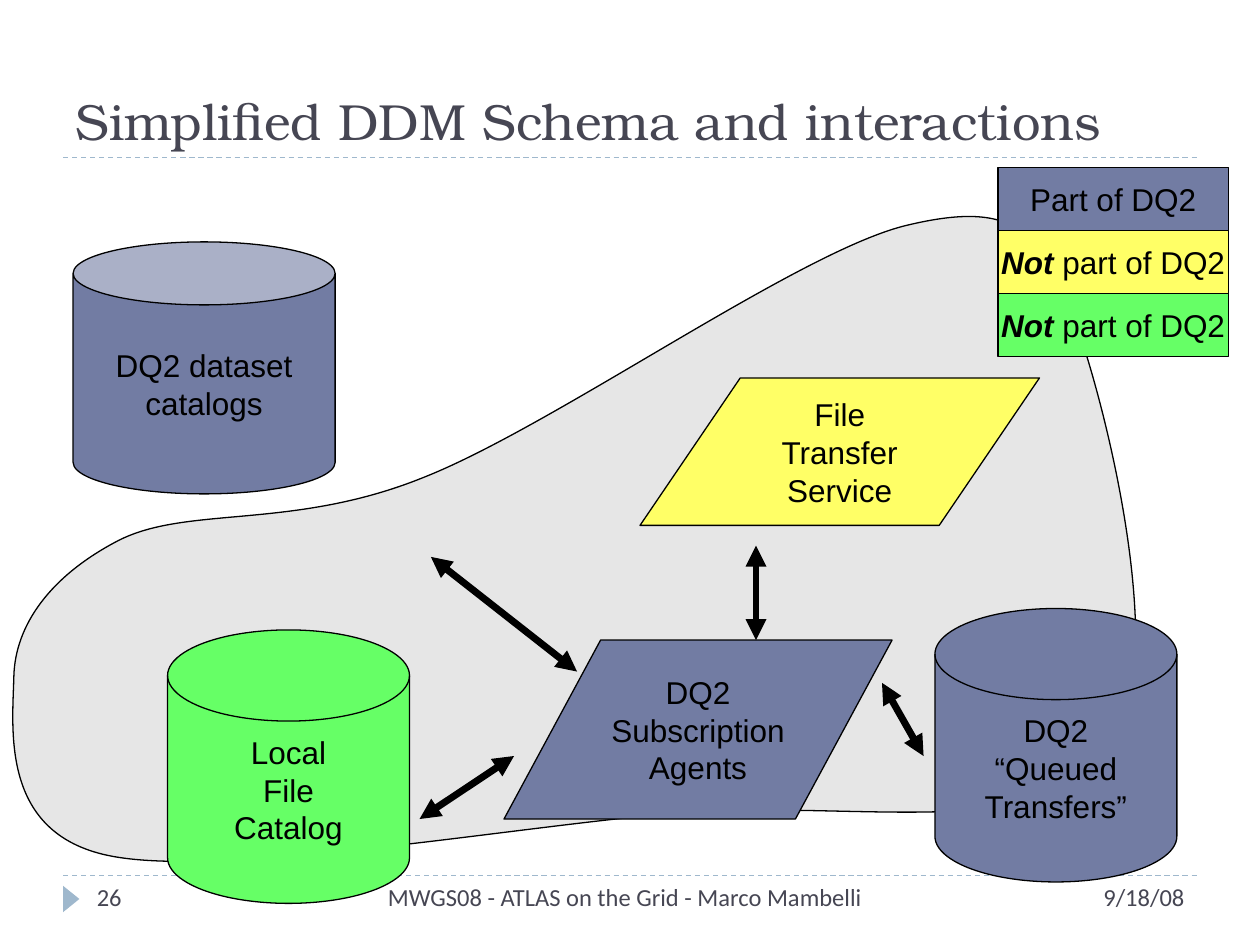
"""Build the slide on the simplified DDM schema and its interactions."""
from dataclasses import dataclass

from lxml import etree
from pptx import Presentation
from pptx.dml.color import RGBColor
from pptx.enum.dml import MSO_LINE
from pptx.enum.shapes import MSO_CONNECTOR, MSO_SHAPE
from pptx.enum.text import MSO_ANCHOR, MSO_AUTO_SIZE, PP_ALIGN
from pptx.oxml.ns import qn
from pptx.util import Inches, Pt

CAN, DISK = MSO_SHAPE.CAN, MSO_SHAPE.FLOWCHART_MAGNETIC_DISK
SLANT, RECT = MSO_SHAPE.PARALLELOGRAM, MSO_SHAPE.RECTANGLE
TRIANGLE = MSO_SHAPE.ISOSCELES_TRIANGLE
STRAIGHT, DASH = MSO_CONNECTOR.STRAIGHT, MSO_LINE.DASH
LEFT, CENTER, RIGHT = PP_ALIGN.LEFT, PP_ALIGN.CENTER, PP_ALIGN.RIGHT
MIDDLE, TOP, BOTTOM = MSO_ANCHOR.MIDDLE, MSO_ANCHOR.TOP, MSO_ANCHOR.BOTTOM
NO_AUTOFIT = MSO_AUTO_SIZE.NONE

COLORS = {"dq2": "727CA3", "transfer": "FFFF66", "local": "66FF66", "site": "E6E6E6",
          "ink": "000000", "heading": "464653", "rule": "9FB8CD"}
TITLE_FONT = {"name": "TeX Gyre Bonum", "size": Pt(29)}
NODE_FONT = {"name": "Arial", "size": Pt(18)}
FOOTER_FONT = {"name": "Calibri", "size": Pt(14)}
STRONG = {"bold": True, "italic": True}
LEGEND_TOP, LEGEND_ROW = 1.33, 0.5


@dataclass
class Node:
    """A labelled component of the schema; each line is a list of runs."""
    preset: int
    box: tuple
    color: str
    lines: list
    adjustment: float | None = None


@dataclass
class Footer:
    """A footer text with its place."""
    text: str
    left: float
    width: float
    align: int


NODES = [
    Node(CAN, (0.58, 1.92, 2.08, 2), "dq2", [["DQ2 dataset"], ["catalogs"]], 0.25),
    Node(DISK, (7.42, 4.83, 1.92, 2.17), "dq2", [["DQ2"], ["“Queued"], ["Transfers”"]]),
    Node(DISK, (1.33, 5, 1.92, 2.17), "local", [["Local"], ["File"], ["Catalog"]]),
    Node(SLANT, (5.08, 3, 3.17, 1.17), "transfer", [["File"], ["Transfer"], ["Service"]], 0.68),
    Node(SLANT, (4, 5.08, 3.08, 1.42), "dq2", [["DQ2"], ["Subscription"], ["Agents"]], 0.54),
]
LEGEND = [("dq2", ["Part of DQ2"]), ("transfer", ["Not", " part of DQ2"]),
          ("local", ["Not", " part of DQ2"])]
INTERACTIONS = [((6, 5.08), (6, 4.33)), ((4.58, 5.33), (3.42, 4.42)),
                ((4.08, 6), (3.33, 6.5)), ((7.33, 6), (7, 5.42))]
FOOTERS = [Footer("9/18/08", 7.83, 1.67, RIGHT), Footer("26", 0.67, 1.33, LEFT),
           Footer("MWGS08 - ATLAS on the Grid - Marco Mambelli", 2.25, 5.42, CENTER)]
SITE_START = (0.11, 5.37)
SITE_CURVES = [
    ((0.1, 5.79), (0, 6.61), (0.86, 6.79)),
    ((1.72, 6.97), (3.96, 6.58), (5.28, 6.46)),
    ((6.6, 6.33), (8.24, 6.69), (8.78, 6.04)),
    ((9.32, 5.39), (8.79, 3.25), (8.53, 2.54)),
    ((8.26, 1.83), (8.06, 1.58), (7.19, 1.79)),
    ((6.33, 2), (4.4, 3.38), (3.36, 3.79)),
    ((2.32, 4.21), (1.49, 4.01), (0.94, 4.29)),
    ((0.4, 4.57), (0.12, 4.96), SITE_START),
]


def rgb(color: str) -> RGBColor:
    """Look up a named colour."""
    return RGBColor.from_string(COLORS[color])


def apply(target, formats: dict) -> None:
    """Set each attribute named in the format values."""
    for attribute, value in formats.items():
        setattr(target, attribute, value)


def write(frame, lines: list, font: dict, color: str, align: int, frame_format: dict) -> None:
    """Write one paragraph per line; the first of several runs is emphasised."""
    apply(frame, frame_format)
    for index, runs in enumerate(lines):
        paragraph = frame.add_paragraph() if index else frame.paragraphs[0]
        paragraph.alignment = align
        for position, text in enumerate(runs):
            run = paragraph.add_run()
            run.text = text
            apply(run.font, font)
            run.font.color.rgb = rgb(color)
            if position == 0 and len(runs) > 1:
                apply(run.font, STRONG)


def paint(shape, color: str) -> None:
    """Give a shape its fill and thin black outline."""
    shape.shadow.inherit = False
    shape.fill.solid()
    shape.fill.fore_color.rgb = rgb(color)
    shape.line.color.rgb = rgb("ink")
    shape.line.width = Pt(0.75)


def add_node(slide, node: Node) -> None:
    """Draw a labelled component."""
    shape = slide.shapes.add_shape(node.preset, *map(Inches, node.box))
    if node.adjustment is not None:
        shape.adjustments[0] = node.adjustment
    paint(shape, node.color)
    write(shape.text_frame, node.lines, NODE_FONT, "ink", CENTER,
          {"word_wrap": False, "vertical_anchor": MIDDLE})


def add_line(slide, start: tuple, end: tuple, color: str, width: float):
    """Draw a straight line without a shadow."""
    connector = slide.shapes.add_connector(STRAIGHT, *map(Inches, start + end))
    connector.line.color.rgb = rgb(color)
    connector.line.width = Pt(width)
    etree.SubElement(connector._element.spPr, qn("a:effectLst"))
    return connector


def add_interaction(slide, start: tuple, end: tuple) -> None:
    """Draw a thick arrow with a head at both ends."""
    arrow = add_line(slide, start, end, "ink", 4)
    for tag in ("a:headEnd", "a:tailEnd"):
        etree.SubElement(arrow.line._get_or_add_ln(), qn(tag), type="triangle")


def add_site(slide) -> None:
    """Draw the rounded site area, turning each three segments into a cubic curve."""
    builder = slide.shapes.build_freeform(*map(Inches, SITE_START))
    builder.add_line_segments([tuple(map(Inches, point))
                               for curve in SITE_CURVES for point in curve])
    site = builder.convert_to_shape()
    outline = next(site._element.iter(qn("a:path")))
    segments = [part for part in outline if part.tag == qn("a:lnTo")]
    for first in range(0, len(segments), 3):
        curve = etree.SubElement(outline, qn("a:cubicBezTo"))
        for segment in segments[first:first + 3]:
            curve.append(segment[0])
            outline.remove(segment)
    for close in outline.findall(qn("a:close")):
        outline.remove(close)
    etree.SubElement(outline, qn("a:close"))
    paint(site, "site")


def add_frame(slide) -> None:
    """Draw the title, the two dashed rules and the footer marker."""
    title = slide.shapes.title
    apply(title, {"left": Inches(0.5), "top": Inches(0.25),
                  "width": Inches(9), "height": Inches(1)})
    write(title.text_frame, [["Simplified DDM Schema and interactions"]], TITLE_FONT, "heading",
          LEFT, {"word_wrap": True, "vertical_anchor": BOTTOM, "auto_size": NO_AUTOFIT})
    for y in (6.95, 1.25):
        add_line(slide, (0.5, y), (9.5, y), "rule", 0.75).line.dash_style = DASH
    marker = slide.shapes.add_shape(TRIANGLE, *map(Inches, (0.46, 7.07, 0.21, 0.13)))
    marker.rotation = 90
    paint(marker, "rule")
    marker.line.fill.background()


def main() -> None:
    """Build and save the slide."""
    deck = Presentation()
    deck.slide_width, deck.slide_height = Inches(10), Inches(7.5)
    slide = deck.slides.add_slide(deck.slide_layouts[5])
    add_frame(slide)
    add_site(slide)
    for node in NODES:
        add_node(slide, node)
    for start, end in INTERACTIONS:
        add_interaction(slide, start, end)
    for row, (color, runs) in enumerate(LEGEND):
        box = (7.92, LEGEND_TOP + row * LEGEND_ROW, 1.83, LEGEND_ROW)
        add_node(slide, Node(RECT, box, color, [runs]))
    for footer in FOOTERS:
        box = slide.shapes.add_textbox(*map(Inches, (footer.left, 6.95, footer.width, 0.4)))
        write(box.text_frame, [[footer.text]], FOOTER_FONT, "heading", footer.align,
              {"word_wrap": True, "vertical_anchor": TOP})
    deck.save("out.pptx")


if __name__ == "__main__":
    main()
